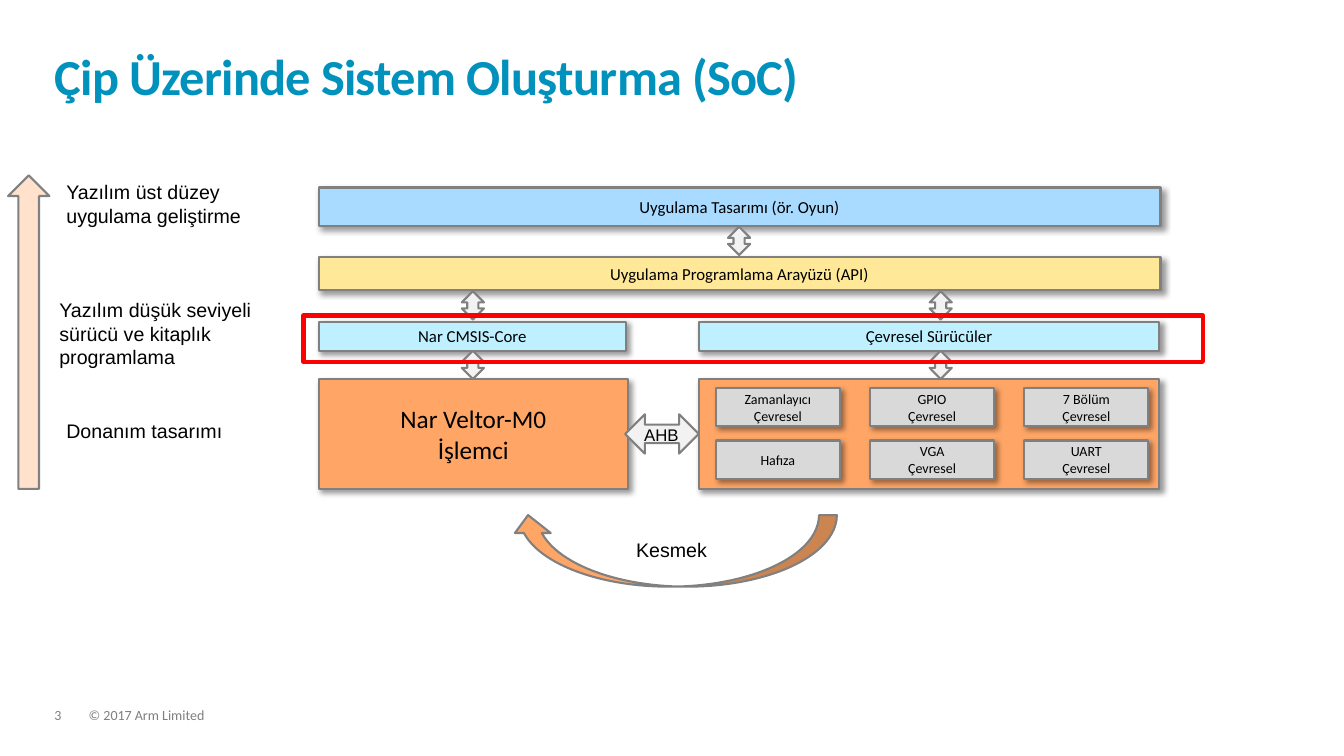
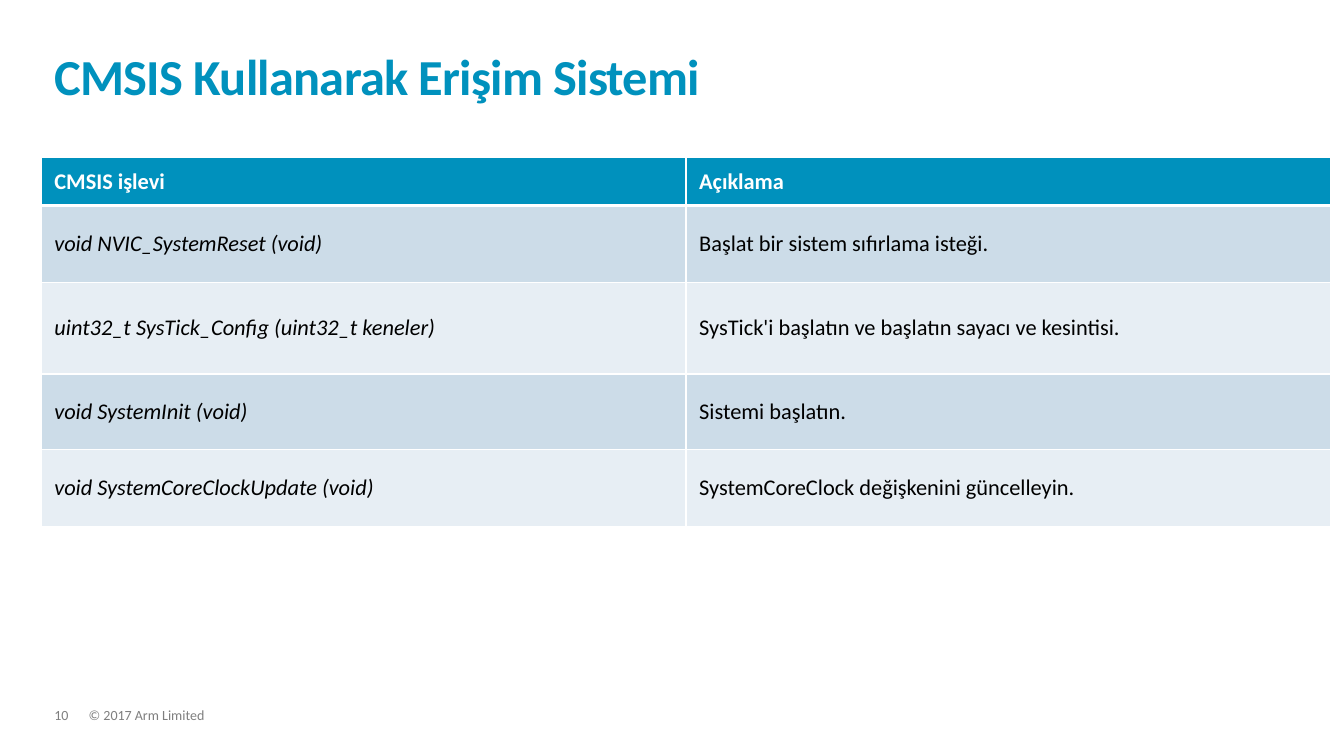
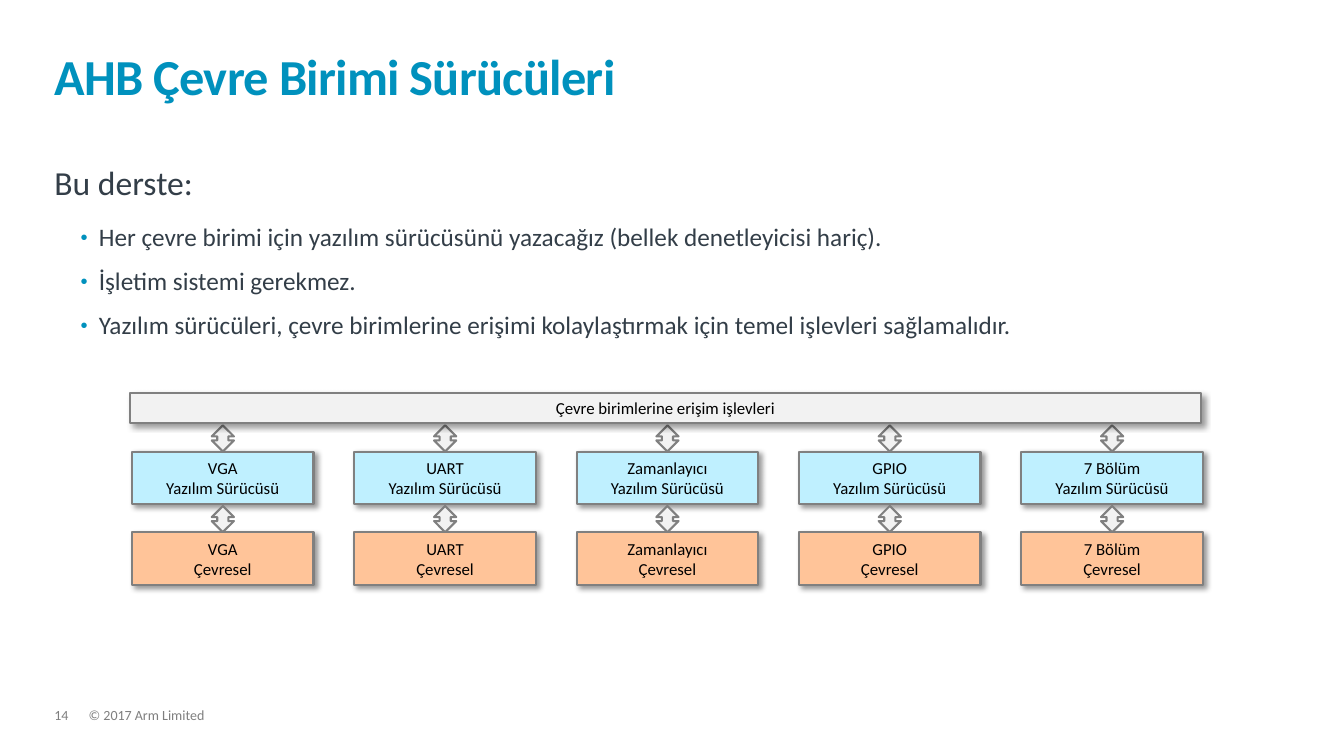
from dataclasses import dataclass

from lxml import etree
from pptx import Presentation
from pptx.dml.color import RGBColor
from pptx.enum.shapes import MSO_SHAPE
from pptx.enum.text import MSO_ANCHOR, MSO_AUTO_SIZE, PP_ALIGN
from pptx.oxml.ns import qn
from pptx.presentation import Presentation as Deck
from pptx.shapes.autoshape import Shape
from pptx.slide import Slide
from pptx.table import _Cell
from pptx.text.text import TextFrame, _Paragraph
from pptx.util import Inches, Pt

RECTANGLE = MSO_SHAPE.RECTANGLE
UP_ARROW = MSO_SHAPE.UP_ARROW
UP_DOWN_ARROW = MSO_SHAPE.UP_DOWN_ARROW
CURVED_ARROW = MSO_SHAPE.CURVED_DOWN_ARROW
MIDDLE = MSO_ANCHOR.MIDDLE
TOP = MSO_ANCHOR.TOP
BOTTOM = MSO_ANCHOR.BOTTOM
CENTER = PP_ALIGN.CENTER
LEFT = PP_ALIGN.LEFT
FIXED_SIZE = MSO_AUTO_SIZE.NONE
GROW = MSO_AUTO_SIZE.SHAPE_TO_FIT_TEXT

CALIBRI = "Calibri"
ARIAL = "Arial"
BLACK = "000000"
WHITE = "FFFFFF"
TEAL = "0091BD"
SLATE = "333E48"
FOOTER_GRAY = "7F7F7F"
OUTLINE = "808080"
PALE_GRAY = "F2F2F2"
BLOCK_GRAY = "D9D9D9"
ORANGE = "FFA666"
LIGHT_ORANGE = "FFC499"
PALE_ORANGE = "FFE1CC"
CYAN = "BFF0FF"
YELLOW = "FFE999"
SKY = "A8DBFF"
RED = "FF0000"
BAND_DARK = "CCDCE8"
BAND_LIGHT = "E7EEF4"

TITLE_ONLY = 5
TITLE_AND_CONTENT = 1
ARROW_WIDTH = 0.22
COPYRIGHT = "© 2017 Arm Limited"


@dataclass(frozen=True)
class Box:
    left: float
    top: float
    width: float
    height: float


@dataclass(frozen=True)
class Block:
    box: Box
    fill: str
    lines: tuple[str, ...] = ()
    size: float = 12


@dataclass(frozen=True)
class Label:
    box: Box
    lines: tuple[str, ...]
    size: float = 14


def color(value: str) -> RGBColor:
    return RGBColor.from_string(value)


def place(shape: Shape, box: Box) -> None:
    shape.left, shape.top = Inches(box.left), Inches(box.top)
    shape.width, shape.height = Inches(box.width), Inches(box.height)


def style(paragraph: _Paragraph, size: float, value: str, name: str = CALIBRI,
          bold: bool = False, italic: bool = False) -> None:
    font = paragraph.font
    font.name, font.size, font.bold, font.italic = name, Pt(size), bold, italic
    font.color.rgb = color(value)


def clear_insets(frame: TextFrame) -> None:
    frame.margin_left = frame.margin_right = 0
    frame.margin_top = frame.margin_bottom = 0


def write_lines(frame: TextFrame, lines: tuple[str, ...], size: float,
                name: str, align: PP_ALIGN) -> None:
    frame.text = "\n".join(lines)
    for paragraph in frame.paragraphs:
        paragraph.alignment = align
        style(paragraph, size, BLACK, name)


def add_figure(slide: Slide, kind: MSO_SHAPE, box: Box, fill: str | None,
               outline: str = OUTLINE, weight: float = 1.5) -> Shape:
    figure = slide.shapes.add_shape(kind, 0, 0, 0, 0)
    place(figure, box)
    figure.shadow.inherit = False
    if fill:
        figure.fill.solid()
        figure.fill.fore_color.rgb = color(fill)
    else:
        figure.fill.background()
    figure.line.color.rgb = color(outline)
    figure.line.width = Pt(weight)
    return figure


def add_drop_shadow(shape: Shape) -> None:
    effects = shape.element.spPr.find(qn("a:effectLst"))
    shadow = etree.SubElement(
        effects, qn("a:outerShdw"), blurRad=str(Pt(4)), dist=str(Pt(3)),
        dir="2700000", algn="tl", rotWithShape="0")
    tint = etree.SubElement(shadow, qn("a:srgbClr"), val=BLACK)
    etree.SubElement(tint, qn("a:alpha"), val="40000")


def add_block(slide: Slide, block: Block) -> None:
    shape = add_figure(slide, RECTANGLE, block.box, block.fill)
    add_drop_shadow(shape)
    if block.lines:
        frame = shape.text_frame
        frame.word_wrap = False
        frame.vertical_anchor = MIDDLE
        write_lines(frame, block.lines, block.size, CALIBRI, CENTER)


def add_label(slide: Slide, label: Label) -> None:
    shape = slide.shapes.add_textbox(0, 0, 0, 0)
    place(shape, label.box)
    frame = shape.text_frame
    frame.word_wrap = True
    frame.auto_size = GROW
    write_lines(frame, label.lines, label.size, ARIAL, LEFT)


def add_link(slide: Slide, left: float, top: float, height: float) -> None:
    add_figure(slide, UP_DOWN_ARROW, Box(left, top, ARROW_WIDTH, height), PALE_GRAY)


def add_footer_text(slide: Slide, text: str, left: float, width: float) -> None:
    shape = slide.shapes.add_textbox(0, 0, 0, 0)
    place(shape, Box(left, 7.03, width, 0.15))
    frame = shape.text_frame
    frame.word_wrap = True
    frame.auto_size = GROW
    clear_insets(frame)
    frame.text = text
    paragraph = frame.paragraphs[0]
    paragraph.line_spacing = 0.9
    paragraph.space_after = Pt(6)
    style(paragraph, 10, FOOTER_GRAY)


def start_slide(deck: Deck, layout: int, title: str, number: int) -> Slide:
    slide = deck.slides.add_slide(deck.slide_layouts[layout])
    heading = slide.shapes.title
    place(heading, Box(0.54, 0.32, 12.23, 0.73))
    frame = heading.text_frame
    frame.text = title
    frame.vertical_anchor = BOTTOM
    frame.auto_size = FIXED_SIZE
    clear_insets(frame)
    paragraph = frame.paragraphs[0]
    paragraph.alignment = LEFT
    paragraph.line_spacing = 0.85
    style(paragraph, 36, TEAL, bold=True)
    paragraph._p.pPr.find(qn("a:defRPr")).set("spc", "-50")
    add_footer_text(slide, COPYRIGHT, 0.88, 9.13)
    add_footer_text(slide, str(number), 0.54, 0.34)
    return slide


def build_soc_slide(deck: Deck) -> None:
    slide = start_slide(deck, TITLE_ONLY, "Çip Üzerinde Sistem Oluşturma (SoC)", 3)
    stack_left, stack_width = 3.16, 8.35
    right_left, right_width = 6.93, 4.57
    layers = (
        Block(Box(right_left, 3.76, right_width, 1.09), ORANGE),
        Block(Box(stack_left, 3.19, 3.05, 0.29), CYAN, ("Nar CMSIS-Core",)),
        Block(Box(stack_left, 2.55, stack_width, 0.33), YELLOW,
              ("Uygulama Programlama Arayüzü (API)",)),
        Block(Box(stack_left, 1.86, stack_width, 0.38), SKY,
              ("Uygulama Tasarımı (ör. Oyun)",)),
        Block(Box(stack_left, 3.76, 3.07, 1.09), ORANGE,
              ("Nar Veltor-M0", "İşlemci"), 18),
        Block(Box(right_left, 3.19, right_width, 0.29), CYAN, ("Çevresel Sürücüler",)),
    )
    for layer in layers:
        add_block(slide, layer)

    peripherals = (
        (("Zamanlayıcı", "Çevresel"), ("GPIO", "Çevresel"), ("7 Bölüm", "Çevresel")),
        (("Hafıza",), ("VGA", "Çevresel"), ("UART", "Çevresel")),
    )
    for row, names in enumerate(peripherals):
        for column, lines in enumerate(names):
            box = Box(7.1 + 1.53 * column, 3.85 + 0.52 * row, 1.23, 0.38)
            add_block(slide, Block(box, BLOCK_GRAY, lines, 10))

    add_link(slide, 7.22, 2.25, 0.28)
    for left in (4.58, 9.22):
        for top in (2.89, 3.48):
            add_link(slide, left, top, 0.28)

    add_figure(slide, UP_ARROW, Box(0.08, 1.74, 0.41, 3.11), PALE_ORANGE)
    bus = add_figure(slide, UP_DOWN_ARROW, Box(6.37, 3.94, 0.39, 0.73), PALE_GRAY)
    bus.rotation = 90
    bus.adjustments[0], bus.adjustments[1] = 0.57, 0.47
    interrupt = add_figure(slide, CURVED_ARROW, Box(5.06, 5.11, 3.24, 0.71), ORANGE)
    interrupt.rotation = 180

    labels = (
        Label(Box(0.56, 4.11, 2.44, 0.34), ("Donanım tasarımı",)),
        Label(Box(0.49, 2.91, 2.59, 0.57),
              ("Yazılım düşük seviyeli sürücü ve kitaplık programlama",)),
        Label(Box(0.56, 1.74, 3.02, 0.57),
              ("Yazılım üst düzey", "uygulama geliştirme")),
        Label(Box(6.29, 4.16, 0.83, 0.3), ("AHB",), 12),
        Label(Box(6.21, 5.29, 1.51, 0.34), ("Kesmek",)),
    )
    for label in labels:
        add_label(slide, label)
    add_figure(slide, RECTANGLE, Box(3.01, 3.13, 8.92, 0.46), None, RED, 3)


def set_borders(cell: _Cell, top: float, bottom: float) -> None:
    properties = cell._tc.get_or_add_tcPr()
    for tag, weight in (("lnL", 1), ("lnR", 1), ("lnT", top), ("lnB", bottom)):
        border = etree.SubElement(properties, qn(f"a:{tag}"), w=str(Pt(weight)))
        fill = etree.SubElement(border, qn("a:solidFill"))
        etree.SubElement(fill, qn("a:srgbClr"), val=WHITE)


def build_functions_slide(deck: Deck) -> None:
    slide = start_slide(deck, TITLE_ONLY, "CMSIS Kullanarak Erişim Sistemi", 10)
    functions = (
        ("CMSIS işlevi", "Açıklama"),
        ("void NVIC_SystemReset (void)", "Başlat bir sistem sıfırlama isteği."),
        ("uint32_t SysTick_Config (uint32_t keneler)",
         "SysTick'i başlatın ve başlatın sayacı ve kesintisi."),
        ("void SystemInit (void)", "Sistemi başlatın."),
        ("void SystemCoreClockUpdate (void)", "SystemCoreClock değişkenini güncelleyin."),
    )
    heights = (0.48, 0.76, 0.91, 0.75, 0.76)
    table = slide.shapes.add_table(
        len(functions), 2, Inches(0.41), Inches(1.56),
        Inches(12.79), Inches(sum(heights))).table
    for row, (texts, height) in enumerate(zip(functions, heights)):
        table.rows[row].height = Inches(height)
        header = row == 0
        band = TEAL if header else BAND_DARK if row % 2 else BAND_LIGHT
        for column, text in enumerate(texts):
            cell = table.cell(row, column)
            cell.text = text
            cell.vertical_anchor = MIDDLE
            cell.margin_left = cell.margin_right = Inches(0.13)
            cell.margin_top = cell.margin_bottom = Inches(0.05)
            set_borders(cell, 3 if row == 1 else 1, 3 if header else 1)
            cell.fill.solid()
            cell.fill.fore_color.rgb = color(band)
            style(cell.text_frame.paragraphs[0], 16, WHITE if header else BLACK,
                  bold=header, italic=not header and column == 0)


def format_body_line(paragraph: _Paragraph, bulleted: bool) -> None:
    paragraph.level = int(bulleted)
    paragraph.line_spacing = 0.9
    paragraph.space_before = Pt(0)
    paragraph.space_after = Pt(12 if bulleted else 16)
    properties = paragraph._p.get_or_add_pPr()
    properties.set("marL", str(Inches(0.44 if bulleted else 0)))
    properties.set("indent", str(Inches(-0.18 if bulleted else 0)))
    if bulleted:
        tint = etree.SubElement(properties, qn("a:buClr"))
        etree.SubElement(tint, qn("a:srgbClr"), val=TEAL)
        etree.SubElement(properties, qn("a:buSzPct"), val="80000")
        etree.SubElement(properties, qn("a:buFont"), typeface=ARIAL)
        etree.SubElement(properties, qn("a:buChar"), char="•")
    else:
        etree.SubElement(properties, qn("a:buNone"))
    style(paragraph, 18 if bulleted else 24, SLATE)


def build_drivers_slide(deck: Deck) -> None:
    slide = start_slide(deck, TITLE_AND_CONTENT, "AHB Çevre Birimi Sürücüleri", 14)
    body = slide.placeholders[1]
    place(body, Box(0.54, 1.65, 12.23, 4.47))
    frame = body.text_frame
    frame.text = "\n".join((
        "Bu derste:",
        "Her çevre birimi için yazılım sürücüsünü yazacağız (bellek denetleyicisi hariç).",
        "İşletim sistemi gerekmez.",
        "Yazılım sürücüleri, çevre birimlerine erişimi kolaylaştırmak için "
        "temel işlevleri sağlamalıdır.",
    ))
    frame.vertical_anchor = TOP
    frame.auto_size = FIXED_SIZE
    clear_insets(frame)
    for index, paragraph in enumerate(frame.paragraphs):
        format_body_line(paragraph, index > 0)

    peripherals = ("VGA", "UART", "Zamanlayıcı", "GPIO", "7 Bölüm")
    tiers = ((4.48, CYAN, "Yazılım Sürücüsü"), (5.28, LIGHT_ORANGE, "Çevresel"))
    first_left, last_left, block_width, link_height = 1.31, 10.13, 1.8, 0.26
    pitch = (last_left - first_left) / (len(peripherals) - 1)
    for column, peripheral in enumerate(peripherals):
        left = first_left + pitch * column
        link_left = left + (block_width - ARROW_WIDTH) / 2
        for top, fill, role in tiers:
            add_block(slide, Block(Box(left, top, block_width, 0.52), fill,
                                   (peripheral, role)))
            add_link(slide, link_left, top - link_height, link_height)
    add_block(slide, Block(Box(1.29, 3.9, 10.62, 0.3), PALE_GRAY,
                           ("Çevre birimlerine erişim işlevleri",)))


def main() -> None:
    deck = Presentation()
    deck.slide_width, deck.slide_height = Inches(13.33), Inches(7.5)
    build_soc_slide(deck)
    build_functions_slide(deck)
    build_drivers_slide(deck)
    deck.save("out.pptx")


if __name__ == "__main__":
    main()
